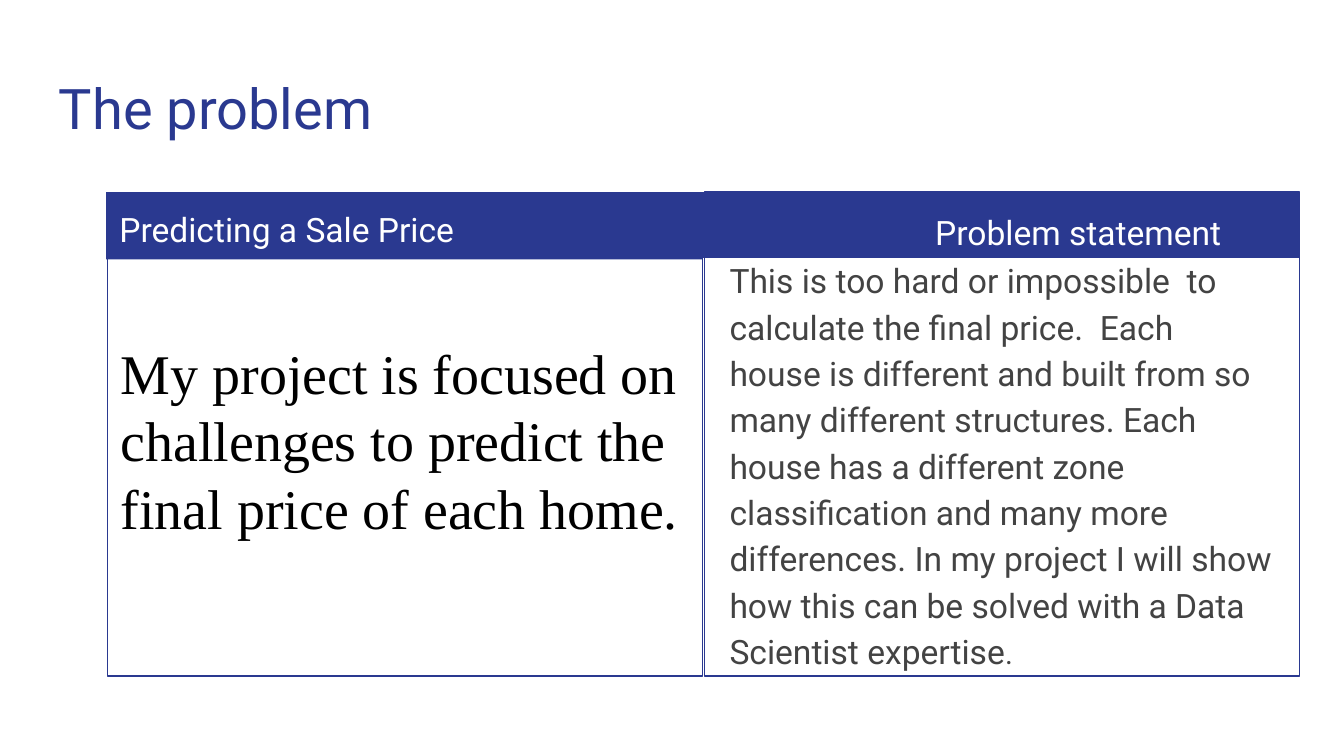
from pptx import Presentation
from pptx.dml.color import RGBColor
from pptx.enum.shapes import MSO_SHAPE
from pptx.enum.text import MSO_ANCHOR, PP_ALIGN
from pptx.util import Inches, Pt

RECT = MSO_SHAPE.RECTANGLE
TOP, MIDDLE = MSO_ANCHOR.TOP, MSO_ANCHOR.MIDDLE
LEFT = PP_ALIGN.LEFT
BLUE = RGBColor(0x2A, 0x39, 0x90)
GREY = RGBColor(0x43, 0x43, 0x43)
BLACK = RGBColor(0, 0, 0)
WHITE = RGBColor(255, 255, 255)

prs = Presentation()
prs.slide_width = Inches(10)
prs.slide_height = prs.slide_width * 9 // 16
s = prs.slides.add_slide(prs.slide_layouts[6])

# Two equal columns that share a header row and a bottom edge
COL_W = 4.43
COL_LEFT, COL_RIGHT = 0.8, 0.8 + COL_W + 0.01
ROW_TOP, ROW_BOTTOM, HEADER_H = 1.43, 5.03, 0.5


def add_rect(x, y, w, h, filled):
    """Add a header bar when filled, otherwise an outlined panel."""
    sp = s.shapes.add_shape(RECT, Inches(x), Inches(y), Inches(w), Inches(h))
    sp.shadow.inherit = False
    if filled:
        sp.fill.solid()
        sp.fill.fore_color.rgb = BLUE
        sp.line.fill.background()
    else:
        sp.fill.background()
        sp.line.color.rgb = BLUE
        sp.line.width = Pt(0.75)
    return sp


def write(sp, runs, font, color, spacing=1.0, anchor=TOP):
    """Write one left-aligned paragraph of (text, size) runs into a shape."""
    tf = sp.text_frame
    frame = {"word_wrap": True, "vertical_anchor": anchor}
    for side in ("left", "right", "top", "bottom"):
        frame["margin_" + side] = Inches(0.1)
    for name, value in frame.items():
        setattr(tf, name, value)
    p = tf.paragraphs[0]
    p.alignment, p.line_spacing = LEFT, spacing
    for text, size in runs:
        r = p.add_run()
        r.text = text
        for name, value in {"name": font, "size": Pt(size)}.items():
            setattr(r.font, name, value)
        r.font.color.rgb = color


statement = ("This is too hard or impossible  to calculate the final price.  "
             "Each house is different and built from so many different "
             "structures. Each house has a different zone classification and "
             "many more differences. In my project I will show how this can be "
             "solved with a Data Scientist expertise")
text_boxes = [
    ((0.34, 0.45, 9.32, 0.66), [("The problem", 30)], BLUE, 1.0),
    ((6.86, ROW_TOP, 2.73, HEADER_H), [("Problem statement", 18)], WHITE, 1.15),
    ((5.33, 1.79, 4.24, 3.28), [(statement, 18), (".", 16)], GREY, 1.15),
]

add_rect(COL_RIGHT, ROW_TOP, COL_W, ROW_BOTTOM - ROW_TOP, False)
add_rect(COL_RIGHT - 0.01, ROW_TOP, COL_W + 0.01, HEADER_H - 0.01, True)

for box, runs, color, spacing in text_boxes:
    sp = s.shapes.add_textbox(*(Inches(v) for v in box))
    write(sp, runs, "Roboto", color, spacing)

panel = add_rect(COL_LEFT, 1.51, COL_W, ROW_BOTTOM - 1.51, False)
header = add_rect(COL_LEFT - 0.01, ROW_TOP, COL_W + 0.01, HEADER_H, True)
write(panel, [("My project is focused on challenges to predict the final price "
               "of each home.", 30), (" ", 14)],
      "Times New Roman", BLACK, anchor=MIDDLE)
write(header, [("Predicting a Sale Price", 18)], "Roboto", WHITE, 1.15, MIDDLE)

prs.save("out.pptx")
